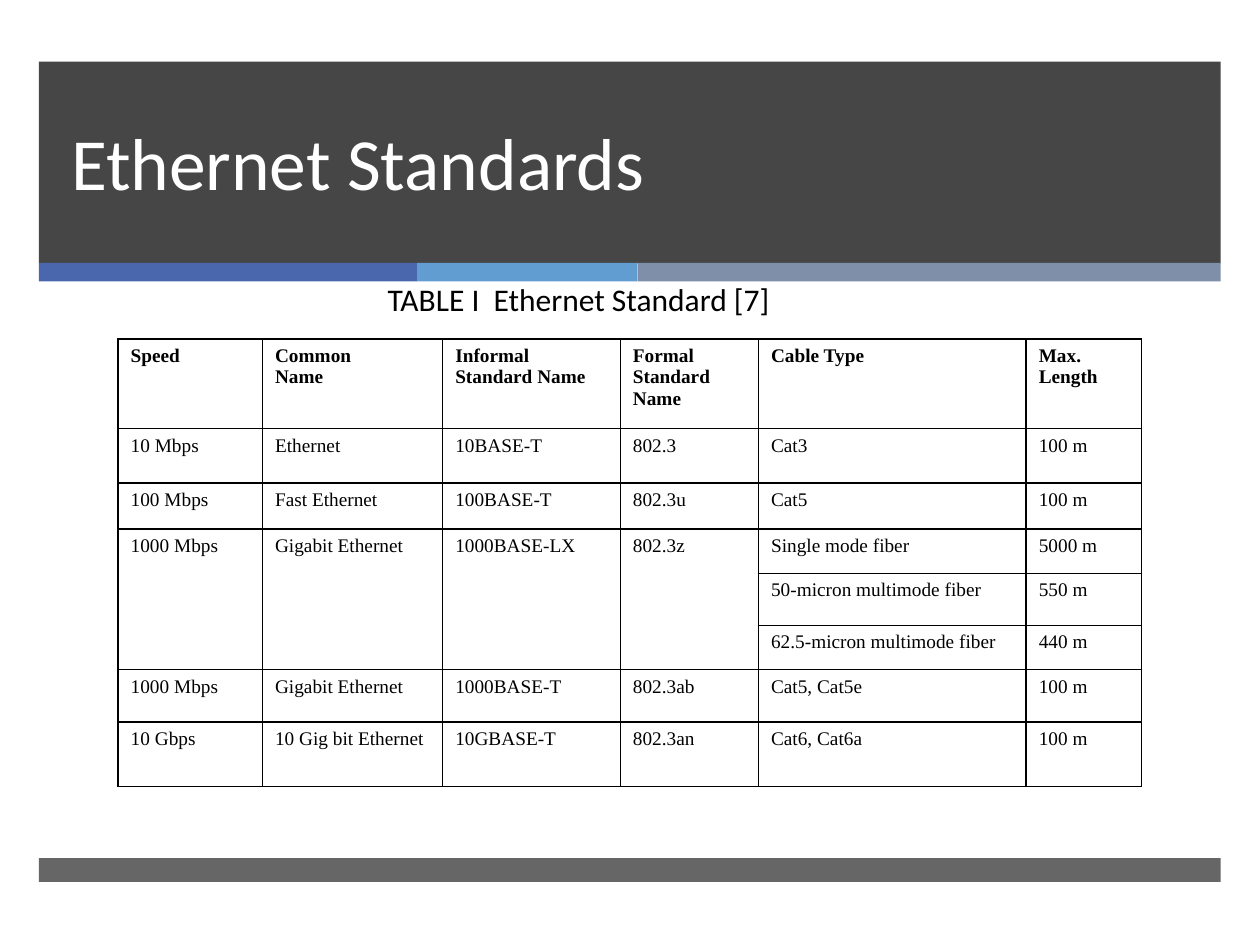
from lxml import etree
from pptx import Presentation
from pptx.dml.color import RGBColor
from pptx.enum.shapes import MSO_SHAPE
from pptx.enum.text import MSO_ANCHOR, PP_ALIGN
from pptx.oxml.ns import qn
from pptx.util import Pt

RECTANGLE = MSO_SHAPE.RECTANGLE
TOP, BOTTOM = MSO_ANCHOR.TOP, MSO_ANCHOR.BOTTOM
LEFT = PP_ALIGN.LEFT

TITLE = "Ethernet Standards"
CAPTION = "TABLE I  Ethernet Standard [7]"
HEADER = ["Speed", "Common\nName", "Informal\nStandard Name",
          "Formal Standard Name", "Cable Type", "Max. Length"]
STANDARDS = [
    ("10 Mbps", "Ethernet", "10BASE-T", "802.3", [("Cat3", "100 m")]),
    ("100 Mbps", "Fast Ethernet", "100BASE-T", "802.3u", [("Cat5", "100 m")]),
    ("1000 Mbps", "Gigabit Ethernet", "1000BASE-LX", "802.3z", [
        ("Single mode fiber", "5000 m"),
        ("50-micron multimode fiber", "550 m"),
        ("62.5-micron multimode fiber", "440 m"),
    ]),
    ("1000 Mbps", "Gigabit Ethernet", "1000BASE-T", "802.3ab", [("Cat5, Cat5e", "100 m")]),
    ("10 Gbps", "10 Gig bit Ethernet", "10GBASE-T", "802.3an", [("Cat6, Cat6a", "100 m")]),
]
COLUMN_WIDTHS = [82.5, 103, 101.5, 79, 153, 66]
ROW_HEIGHTS = [51.3, 31, 26.4, 25.3, 29.8, 25.3, 29.8, 37]
TABLE_LEFT, TABLE_TOP = 67.5, 193.7

BAND_LEFT, BAND_WIDTH = 22.3, 675.2
BANDS = [(35.2, 115.3, "262626", 85), (490.3, 13.7, "262626", 70)]
STRIPE_TOP, STRIPE_HEIGHT = 150.3, 10.6
STRIPES = [(216, "4A66AC"), (126, "629DD1"), (333.2, "7F8FA9")]


def color(value):
    return RGBColor.from_string(value)


def write(frame, text, size, font, ink="000000", bold=False, anchor=TOP, spacing=None):
    frame.text = text
    frame.vertical_anchor = anchor
    for paragraph in frame.paragraphs:
        paragraph.alignment = LEFT
        if spacing:
            paragraph.line_spacing = Pt(spacing)
        for run in paragraph.runs:
            run.font.size = Pt(size)
            run.font.name = font
            run.font.bold = bold
            run.font.color.rgb = color(ink)


def add_bar(slide, left, top, width, height, fill, opacity=100):
    shape = slide.shapes.add_shape(RECTANGLE, Pt(left), Pt(top), Pt(width), Pt(height))
    shape.shadow.inherit = False
    shape.fill.solid()
    shape.fill.fore_color.rgb = color(fill)
    shape.line.fill.background()
    if opacity < 100:
        tone = shape.fill._xPr.find(qn("a:solidFill"))[0]
        etree.SubElement(tone, qn("a:alpha"), val=str(opacity * 1000))


def format_cell(cell):
    properties = cell._tc.get_or_add_tcPr()
    for side in ("lnL", "lnR", "lnT", "lnB"):
        border = etree.SubElement(properties, qn(f"a:{side}"), w=str(Pt(1)))
        fill = etree.SubElement(border, qn("a:solidFill"))
        etree.SubElement(fill, qn("a:srgbClr"), val="000000")
    cell.fill.background()


def add_standards_table(slide):
    frame = slide.shapes.add_table(
        len(ROW_HEIGHTS), len(COLUMN_WIDTHS), Pt(TABLE_LEFT), Pt(TABLE_TOP),
        Pt(sum(COLUMN_WIDTHS)), Pt(sum(ROW_HEIGHTS)))
    table = frame.table
    table.first_row = table.horz_banding = False
    for column, width in zip(table.columns, COLUMN_WIDTHS):
        column.width = Pt(width)
    for row, height in zip(table.rows, ROW_HEIGHTS):
        row.height = Pt(height)
    for cell in table.iter_cells():
        format_cell(cell)

    def fill_cells(row, first_column, texts, bold=False):
        for column, text in enumerate(texts, first_column):
            write(table.cell(row, column).text_frame, text, size=11,
                  font="Times New Roman", bold=bold)

    fill_cells(0, 0, HEADER, bold=True)
    row = 1
    for *names, cables in STANDARDS:
        last_row = row + len(cables) - 1
        if last_row > row:
            for column in range(len(names)):
                table.cell(row, column).merge(table.cell(last_row, column))
        fill_cells(row, 0, names)
        for cable in cables:
            fill_cells(row, len(names), cable)
            row += 1


def main():
    presentation = Presentation()
    presentation.slide_width, presentation.slide_height = Pt(720), Pt(540)
    slide = presentation.slides.add_slide(presentation.slide_layouts[5])

    for top, height, fill, opacity in BANDS:
        add_bar(slide, BAND_LEFT, top, BAND_WIDTH, height, fill, opacity)
    left = BAND_LEFT
    for width, fill in STRIPES:
        add_bar(slide, left, STRIPE_TOP, width, STRIPE_HEIGHT, fill)
        left += width

    title = slide.shapes.title
    title.left, title.top, title.width, title.height = Pt(33.4), Pt(35.2), Pt(615), Pt(85.5)
    write(title.text_frame, TITLE, size=42, font="Calibri", ink="FFFFFF",
          anchor=BOTTOM, spacing=46)
    slide.shapes._spTree.append(title._element)

    add_standards_table(slide)

    caption = slide.shapes.add_textbox(Pt(214.4), Pt(156.5), Pt(240), Pt(29))
    caption.text_frame.word_wrap = False
    write(caption.text_frame, CAPTION, size=18, font="Calibri")

    presentation.save("out.pptx")


if __name__ == "__main__":
    main()
